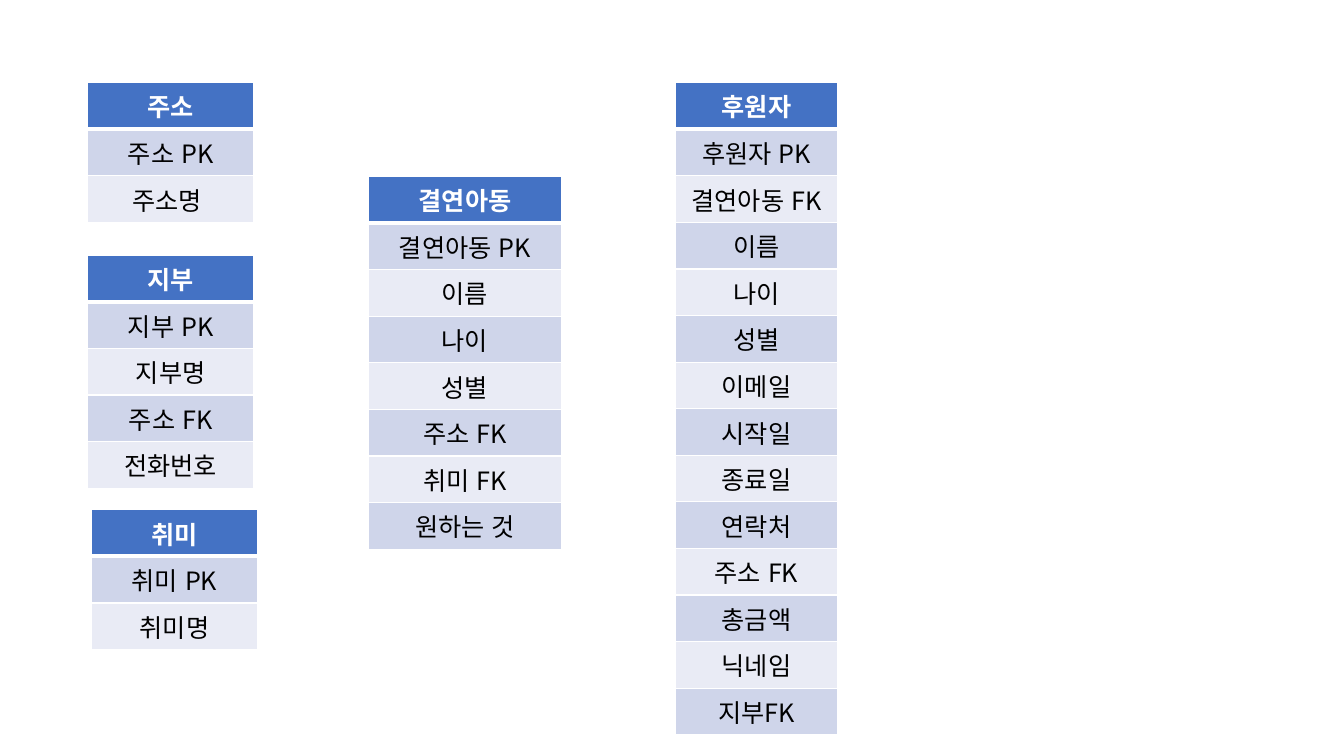
from lxml.etree import SubElement
from pptx import Presentation
from pptx.dml.color import RGBColor
from pptx.enum.lang import MSO_LANGUAGE_ID
from pptx.enum.text import PP_ALIGN
from pptx.oxml import parse_xml
from pptx.oxml.ns import nsdecls, qn
from pptx.util import Pt

COLORS = {"head": "4472C4", "odd": "CFD5EA", "even": "E9EBF5",
          "white": "FFFFFF", "black": "000000"}
FONT = "Noto Sans CJK KR"
ROW_H = 33.2

# left, top, width, header followed by fields
ENTITIES = [
    (482.4, 59, 115.9, ["후원자", "후원자 PK", "결연아동 FK", "이름", "나이", "성별", "이메일",
                        "시작일", "종료일", "연락처", "주소 FK", "총금액", "닉네임", "지부FK"]),
    (62.6, 182.3, 118.8, ["지부", "지부 PK", "지부명", "주소 FK", "전화번호"]),
    (263.4, 126, 137.5, ["결연아동", "결연아동 PK", "이름", "나이", "성별", "주소 FK",
                         "취미 FK", "원하는 것"]),
    (65.2, 364.1, 118.8, ["취미", "취미 PK", "취미명"]),
    (62.6, 59, 118.8, ["주소", "주소 PK", "주소명 "]),
]


class Diagram:
    def __init__(self, slide):
        self.slide = slide
        self.text = {"name": FONT, "size": Pt(18), "language_id": MSO_LANGUAGE_ID.KOREAN}

    def entity(self, left, top, width, names):
        """Draw a one-column table whose first row is the header."""
        tbl = self.slide.shapes.add_table(len(names), 1, Pt(left), Pt(top), Pt(width),
                                          Pt(ROW_H * len(names))).table
        tbl.columns[0].width = Pt(width)
        for i, name in enumerate(names):
            tbl.rows[i].height = Pt(ROW_H)
            self.cell(tbl.cell(i, 0), name, i)

    def cell(self, cell, name, row):
        fill = "head" if row == 0 else "odd" if row % 2 else "even"
        cell.fill.solid()
        cell.fill.fore_color.rgb = RGBColor.from_string(COLORS[fill])
        self.borders(cell, top=3 if row == 1 else 1, bottom=3 if row == 0 else 1)
        p = cell.text_frame.paragraphs[0]
        p.alignment = PP_ALIGN.CENTER
        r = p.add_run()
        r.text = name
        for key, value in {**self.text, "bold": row == 0}.items():
            setattr(r.font, key, value)
        r.font.color.rgb = RGBColor.from_string(COLORS["black" if row else "white"])
        SubElement(r._r.get_or_add_rPr(), qn("a:ea"), typeface=FONT)

    def borders(self, cell, top, bottom):
        tcPr = cell._tc.get_or_add_tcPr()
        for i, (side, width) in enumerate({"L": 1, "R": 1, "T": top, "B": bottom}.items()):
            tcPr.insert(i, parse_xml(
                f'<a:ln{side} {nsdecls("a")} w="{Pt(width)}"><a:solidFill>'
                f'<a:srgbClr val="{COLORS["white"]}"/></a:solidFill></a:ln{side}>'))


def main():
    prs = Presentation()
    prs.slide_width, prs.slide_height = Pt(960), Pt(540)
    diagram = Diagram(prs.slides.add_slide(prs.slide_layouts[6]))
    for entity in ENTITIES:
        diagram.entity(*entity)
    prs.save("out.pptx")


if __name__ == "__main__":
    main()
